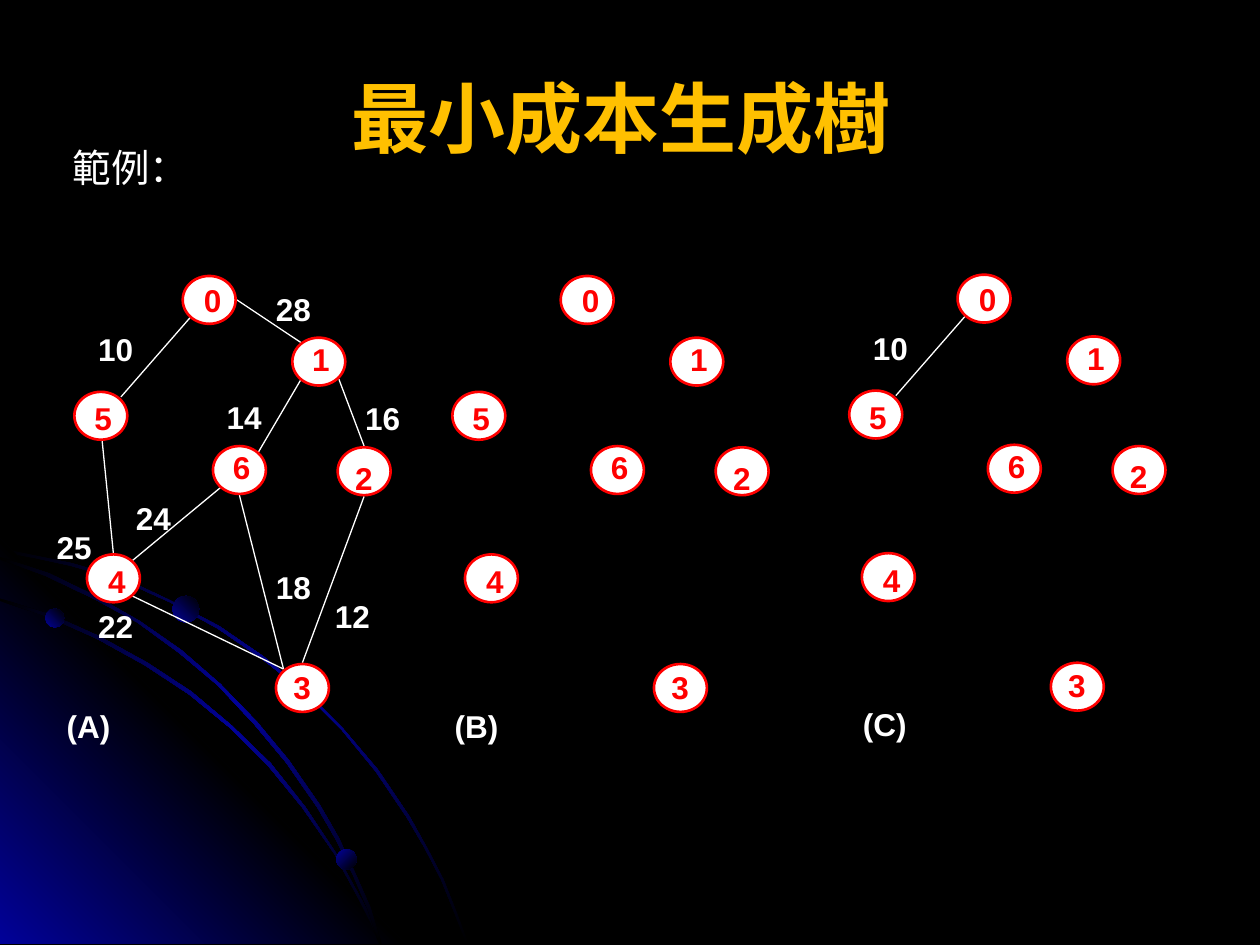
import copy

import lxml.etree
import pptx
import pptx.dml.color
import pptx.enum.shapes
import pptx.enum.text
import pptx.oxml.ns
import pptx.util

Inches = pptx.util.Inches
BLACK, BLUE, WHITE, RED, GOLD = "000000", "010199", "FFFFFF", "FF0000", "FFC000"
NODE_WIDTH, NODE_HEIGHT = 0.42, 0.38

ARCS = [
    [(57, 447), (28, 441), (0, 435), (0, 438), (28, 443), (56, 449), (97, 461), (135, 478),
     (173, 499), (208, 523), (241, 549), (271, 579), (298, 612), (323, 649), (337, 673),
     (350, 698), (360, 723), (370, 749), (372, 749), (362, 723), (352, 698), (339, 673),
     (325, 648), (300, 611), (272, 578), (242, 548), (209, 521), (174, 497), (136, 477),
     (98, 459)],
    [(285, 714), (294, 732), (301, 749), (303, 749), (296, 730), (286, 712), (266, 676),
     (242, 640), (215, 606), (184, 576), (152, 549), (117, 526), (79, 505), (41, 488),
     (0, 475), (0, 477), (39, 490), (77, 507), (115, 528), (150, 551), (183, 578),
     (213, 608), (240, 641), (265, 677)],
    [(0, 442), (0, 444), (36, 457), (74, 475), (109, 494), (142, 518), (173, 544),
     (202, 575), (227, 605), (252, 641), (267, 667), (280, 694), (292, 722), (301, 749),
     (303, 749), (294, 720), (282, 693), (269, 665), (254, 639), (229, 603), (204, 573),
     (175, 543), (144, 516), (111, 493), (76, 473), (39, 455)],
]
CORNER = [(322, 749), (0, 749), (0, 427)]
DOTS = [(0.36, 4.83, 0.15, 45), (2.67, 6.74, 0.16, 315), (1.37, 4.73, 0.21, 45)]

NODES = {
    "0": ((0.86, 0), (0.07, -0.01)),
    "1": ((1.73, 0.49), (0.06, -0.03)),
    "2": ((2.09, 1.36), (0.04, 0.04)),
    "3": ((1.6, 3.08), (0.04, -0.02)),
    "4": ((0.1, 2.21), (0.07, 0.01)),
    "5": ((0, 0.92), (0.06, 0.01)),
    "6": ((1.1, 1.35), (0.06, -0.03)),
}
EDGES = {
    "10": ((0.92, 0.33), (0.37, 0.96), (0.09, 0.38)),
    "12": ((2.3, 1.75), (1.81, 3.07), (1.97, 2.5)),
    "14": ((1.8, 0.82), (1.46, 1.4), (1.11, 0.92)),
    "16": ((2.1, 0.82), (2.3, 1.35), (2.21, 0.93)),
    "18": ((1.31, 1.74), (1.66, 3.12), (1.5, 2.27)),
    "22": ((0.46, 2.54), (1.66, 3.12), (0.09, 2.58)),
    "24": ((1.16, 1.68), (0.46, 2.26), (0.39, 1.72)),
    "25": ((0.22, 1.3), (0.31, 2.2), (-0.24, 1.95)),
    "28": ((1.29, 0.19), (1.8, 0.53), (1.5, 0.06)),
}
GRAPHS = [
    (0.59, 2.19, "(A)", -0.16, list(EDGES)),
    (3.59, 2.19, "(B)", -0.08, []),
    (6.74, 2.18, "(C)", 0.01, ["10"]),
]


def color(value):
    """Turn a hex string into a colour."""
    return pptx.dml.color.RGBColor.from_string(value)


def add_text(page, left, top, width, height, runs, tint, bold=True):
    """Add a one-line text box from (text, size) runs."""
    box = page.shapes.add_textbox(Inches(left), Inches(top), Inches(width), Inches(height))
    box.text_frame.word_wrap = False
    para = box.text_frame.paragraphs[0]
    for text, size in runs:
        span = para.add_run()
        span.text = text
        span.font.name = "Arial"
        span.font.size = pptx.util.Pt(size)
        span.font.bold = bold
        span.font.color.rgb = color(tint)
    return box


def add_ellipse(page, left, top, width, height):
    """Add an ellipse without shadow."""
    ellipse = page.shapes.add_shape(pptx.enum.shapes.MSO_SHAPE.OVAL, Inches(left), Inches(top),
                                    Inches(width), Inches(height))
    ellipse.shadow.inherit = False
    return ellipse


def paint_gradient(shape, tints, angle):
    """Fill a shape with evenly spaced gradient stops and no outline."""
    shape.shadow.inherit = False
    shape.line.fill.background()
    shape.fill.gradient()
    shape.fill.gradient_angle = angle
    stops = shape._element.spPr.find(".//" + pptx.oxml.ns.qn("a:gsLst"))
    while len(stops) < len(tints):
        stops.append(copy.deepcopy(stops[0]))
    for index, (stop, tint) in enumerate(zip(shape.fill.gradient_stops, tints)):
        stop.position = index / (len(tints) - 1)
        stop.color.rgb = color(tint)


def add_outline(page, points, tints, angle):
    """Add a closed gradient outline from points in hundredths of an inch."""
    builder = page.shapes.build_freeform(*points[0], scale=Inches(0.01))
    builder.add_line_segments(points[1:], close=True)
    paint_gradient(builder.convert_to_shape(), tints, angle)


def add_backdrop(page):
    """Draw the glowing corner with its arcs and dots."""
    page.background.fill.solid()
    page.background.fill.fore_color.rgb = color(BLACK)
    add_outline(page, ARCS[0], [BLACK, BLUE, BLACK], 315)
    add_outline(page, CORNER, [BLUE, BLACK, BLUE], 45)
    for arc in ARCS[1:]:
        add_outline(page, arc, [BLACK, BLUE, BLACK], 315)
    for left, top, size, angle in DOTS:
        paint_gradient(add_ellipse(page, left, top, size, size), [BLUE, BLACK], angle)


def add_edge(page, left, top, weight):
    """Draw one weighted edge of the graph at the given origin."""
    start, end, label = EDGES[weight]
    edge = page.shapes.add_connector(
        pptx.enum.shapes.MSO_CONNECTOR.STRAIGHT, Inches(left + start[0]), Inches(top + start[1]),
        Inches(left + end[0]), Inches(top + end[1]))
    edge.line.color.rgb = color(WHITE)
    edge.line.width = pptx.util.Pt(0.75)
    lxml.etree.SubElement(edge._element.spPr, pptx.oxml.ns.qn("a:effectLst"))
    add_text(page, left + label[0], top + label[1], 0.48, 0.4, [(weight, 18)], WHITE)


def add_graph(page, left, top, caption, caption_shift, weights):
    """Draw the seven nodes, the chosen edges and the caption."""
    for weight in weights:
        add_edge(page, left, top, weight)
    for name, ((x, y), (shift_x, shift_y)) in NODES.items():
        node = add_ellipse(page, left + x, top + y, NODE_WIDTH, NODE_HEIGHT)
        node.fill.solid()
        node.fill.fore_color.rgb = color(WHITE)
        node.line.color.rgb = color(RED)
        node.line.width = pptx.util.Pt(1.5)
        add_text(page, left + x + shift_x, top + y + shift_y, 0.34, 0.4, [(name, 18)], RED)
    add_text(page, left + caption_shift, top + 3.37, 0.55, 0.4, [(caption, 18)], WHITE)


def add_heading(page, left, top, width, height):
    """Add the centred slide title."""
    box = add_text(page, left, top, width, height, [("最小成本生成樹 ", 44)], GOLD)
    box.text_frame.word_wrap = True
    box.text_frame.vertical_anchor = pptx.enum.text.MSO_ANCHOR.MIDDLE
    box.text_frame.paragraphs[0].alignment = pptx.enum.text.PP_ALIGN.CENTER


def main():
    """Build and save the slide."""
    deck = pptx.Presentation()
    deck.slide_width, deck.slide_height = Inches(10), Inches(7.5)
    page = deck.slides.add_slide(deck.slide_layouts[6])
    add_backdrop(page)
    add_text(page, 0.48, 1.07, 1.21, 0.5, [("範例：", 22), (" ", 24)], WHITE, bold=False)
    for graph in GRAPHS:
        add_graph(page, *graph)
    add_heading(page, 0.5, 0.3, 9, 1.25)
    deck.save("out.pptx")


main()
